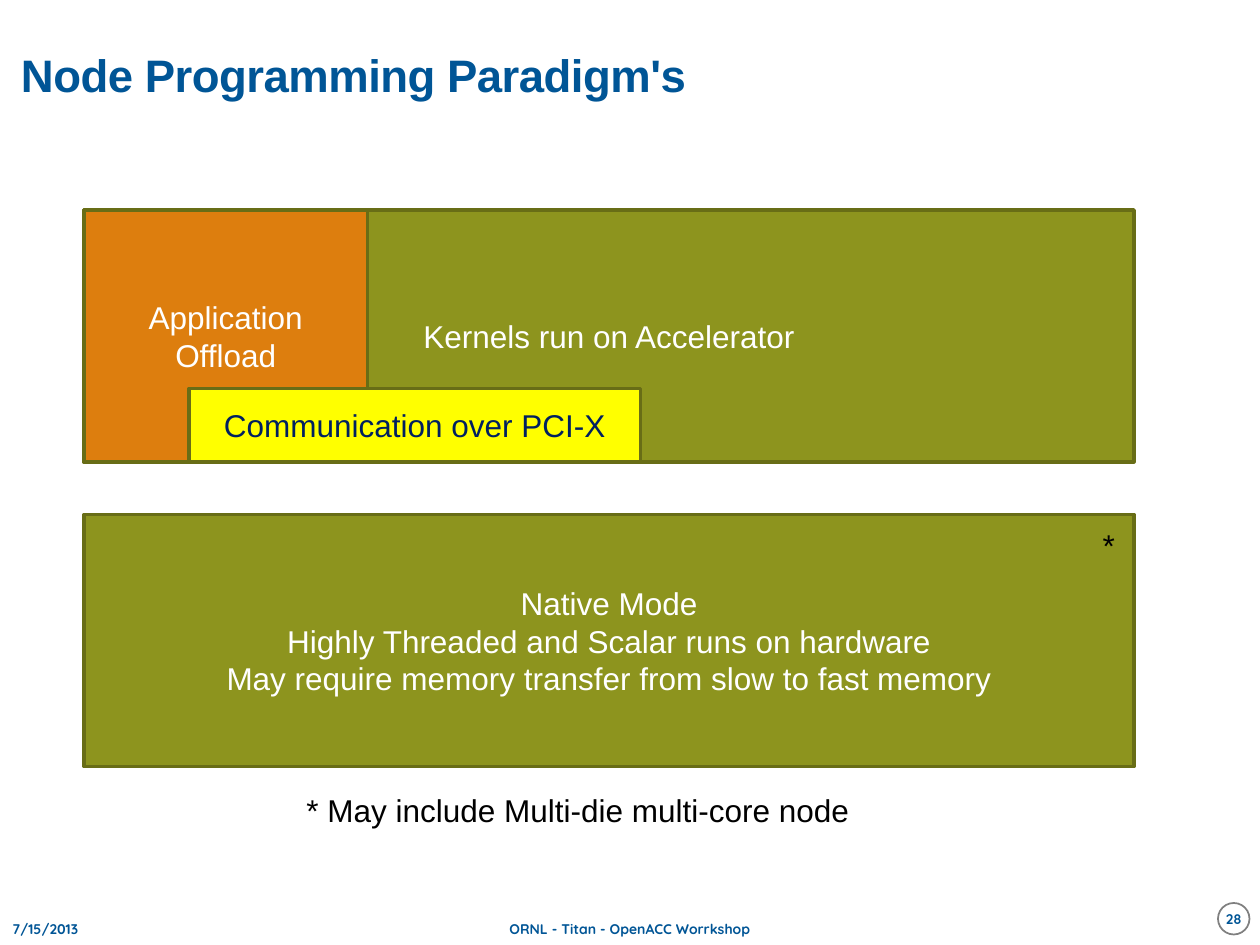
from pptx import Presentation
from pptx.dml.color import RGBColor
from pptx.enum.shapes import MSO_SHAPE
from pptx.enum.text import MSO_ANCHOR, MSO_AUTO_SIZE, PP_ALIGN
from pptx.util import Pt

RECTANGLE, OVAL = MSO_SHAPE.RECTANGLE, MSO_SHAPE.OVAL
LEFT, CENTER = PP_ALIGN.LEFT, PP_ALIGN.CENTER
TOP, MIDDLE = MSO_ANCHOR.TOP, MSO_ANCHOR.MIDDLE
FIT_SHAPE = MSO_AUTO_SIZE.SHAPE_TO_FIT_TEXT

BLUE, NAVY, WHITE, BLACK = "005596", "002060", "FFFFFF", "000000"
OLIVE, DARK_OLIVE, ORANGE, YELLOW, GRAY = "8D941E", "686D16", "DD7E0E", "FFFF00", "808080"
FOOTER_STYLE = dict(size=8, font="Quicksand", color=BLUE, bold=True)


def rgb(value):
    """Return the colour for a hex string."""
    return RGBColor.from_string(value)


def write(shape, text, size=18, font="Arial", color=WHITE, bold=False, align=CENTER,
          anchor=MIDDLE, inset=None, line_spacing=None, tracking=None, wrap=True):
    """Write the lines of text into a shape, one paragraph each."""
    frame = shape.text_frame
    frame.word_wrap = wrap
    frame.vertical_anchor = anchor
    if inset is not None:
        frame.margin_left = frame.margin_right = Pt(inset)
        frame.margin_top = frame.margin_bottom = Pt(inset)
    for index, line in enumerate(text.split("\n")):
        paragraph = frame.add_paragraph() if index else frame.paragraphs[0]
        paragraph.alignment = align
        if line_spacing:
            paragraph.line_spacing = line_spacing
        run = paragraph.add_run()
        run.text = line
        run.font.size, run.font.name, run.font.bold = Pt(size), font, bold
        run.font.color.rgb = rgb(color)
        if tracking:
            run.font._element.set("spc", str(round(tracking * 100)))


def add_label(slide, box, text, **style):
    """Add a plain text box."""
    label = slide.shapes.add_textbox(*map(Pt, box))
    write(label, text, **style)
    return label


def add_block(slide, box, text, fill, line=DARK_OLIVE, line_width=2, kind=RECTANGLE, **style):
    """Add a filled and outlined shape with text."""
    block = slide.shapes.add_shape(kind, *map(Pt, box))
    block.shadow.inherit = False
    block.fill.solid()
    block.fill.fore_color.rgb = rgb(fill)
    block.line.color.rgb = rgb(line)
    block.line.width = Pt(line_width)
    write(block, text, **style)


def add_note(slide, box, text):
    """Add a black remark that keeps to one line."""
    note = add_label(slide, box, text, color=BLACK, align=LEFT, anchor=TOP, wrap=False)
    note.text_frame.auto_size = FIT_SHAPE


def add_offload_panel(slide, left, top, width, height):
    """Show the application and accelerator joined by the bus."""
    add_block(slide, (left, top, width, height), "Kernels run on Accelerator", OLIVE)
    add_block(slide, (left, top, 162, height), "Application\nOffload", ORANGE)
    bus_height = 42
    add_block(slide, (left + 60, top + height - bus_height, 258, bus_height),
              "Communication over PCI-X", YELLOW, color=NAVY)


def add_native_panel(slide, left, top, width, height):
    """Show native mode with its asterisk and the remark below."""
    add_block(slide, (left, top, width, height),
              "Native Mode\nHighly Threaded and Scalar runs on hardware\n"
              "May require memory transfer from slow to fast memory", OLIVE)
    add_note(slide, (left + width - 25, top + 3, 21.5, 29), "*")
    add_note(slide, (left + 120, top + height + 10.5, 327.5, 29),
             "* May include Multi-die multi-core node")


def add_footer(slide, left, top, width, height):
    """Place the date, event name and page number along the foot."""
    add_label(slide, (left, top, 168, height), "7/15/2013", align=LEFT, **FOOTER_STYLE)
    event_width = 228
    add_label(slide, (left + (width - event_width) / 2, top, event_width, height),
              "ORNL - Titan - OpenACC Worrkshop", **FOOTER_STYLE)
    add_block(slide, (left + width - 24, top - 6, 18, 18), "28", WHITE, line=GRAY,
              line_width=1, kind=OVAL, inset=0, **FOOTER_STYLE)


def main():
    """Build and save the slide."""
    deck = Presentation()
    deck.slide_width, deck.slide_height = Pt(720), Pt(540)
    slide = deck.slides.add_slide(deck.slide_layouts[6])
    add_label(slide, (12, 12, 576, 66), "Node Programming Paradigm's", size=26, color=BLUE,
              bold=True, align=LEFT, inset=0, line_spacing=0.85, tracking=-0.3)
    add_footer(slide, 0, 522, 720, 18)
    add_offload_panel(slide, 48, 120, 600, 144)
    add_native_panel(slide, 48, 294, 600, 144)
    deck.save("out.pptx")


if __name__ == "__main__":
    main()
